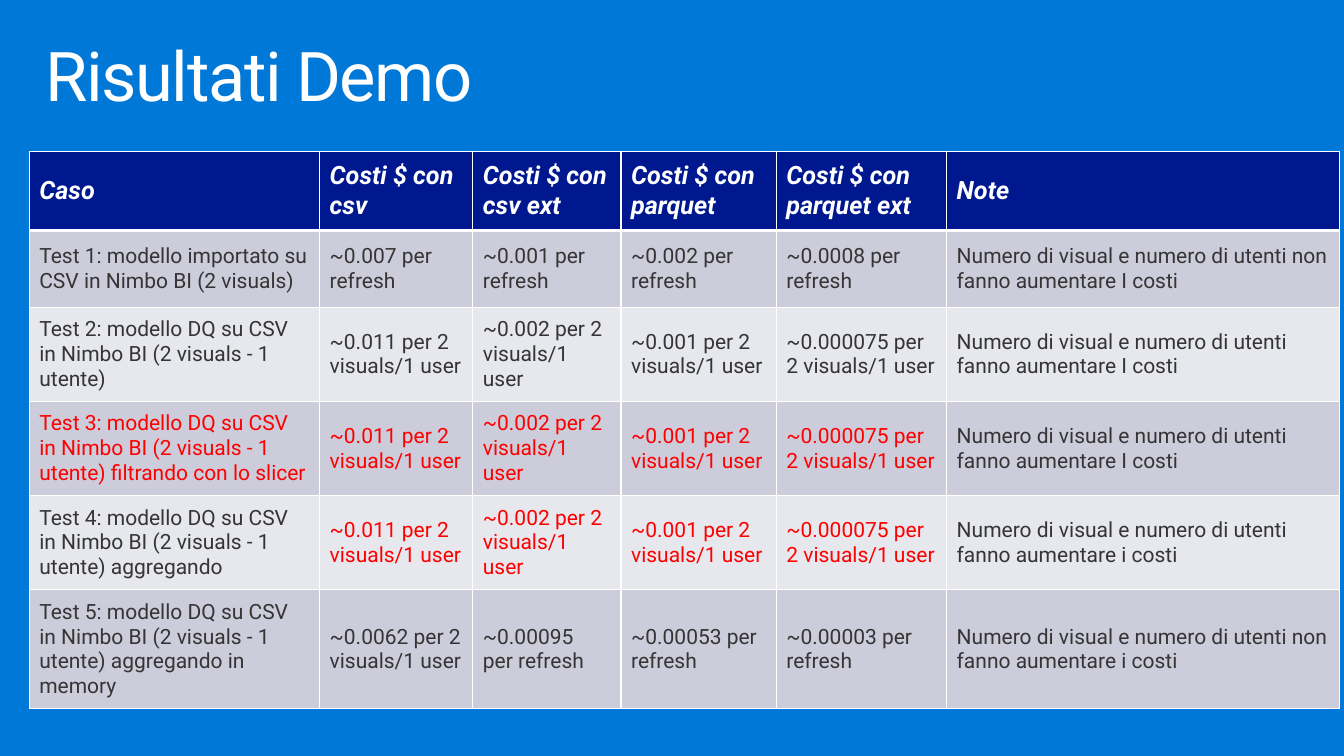
from dataclasses import dataclass

from lxml.etree import SubElement
from pptx import Presentation
from pptx.dml.color import RGBColor
from pptx.enum.text import MSO_ANCHOR as Anchor, MSO_AUTO_SIZE as AutoSize, PP_ALIGN as Align
from pptx.oxml.ns import qn
from pptx.util import Inches, Pt

BLUE = RGBColor(0x00, 0x78, 0xD7)
NAVY = RGBColor(0x00, 0x18, 0x8F)
WHITE = RGBColor(0xFF, 0xFF, 0xFF)
GREY = RGBColor(0x35, 0x35, 0x35)
RED = RGBColor(0xFF, 0x00, 0x00)
BANDS = (RGBColor(0xCC, 0xCC, 0xDB), RGBColor(0xE7, 0xE8, 0xEE))

COLUMN_WIDTHS = (2.88, 1.52, 1.47, 1.54, 1.69, 3.9)
ROW_HEIGHTS = (0.76, 0.76, 0.81, 0.76, 0.76, 0.76)
HEADINGS = (
    "Caso",
    "Costi $ con csv",
    "Costi $ con csv ext",
    "Costi $ con parquet",
    "Costi $ con parquet ext",
    "Note",
)
QUERY_CASE = "modello DQ su CSV in Nimbo BI (2 visuals - 1 utente)"
QUERY_COSTS = tuple(
    f"~{cost} per 2 visuals/1 user" for cost in ("0.011", "0.002", "0.001", "0.000075")
)

TITLE_FONT = {"name": "Roboto", "size": Pt(49), "bold": False}
HEADING_FONT = {"name": "Roboto", "size": Pt(18), "bold": True, "italic": True}
BODY_FONT = {"name": "Roboto", "size": Pt(15), "bold": False, "italic": False}


@dataclass(frozen=True)
class DemoTest:
    case: str
    costs: tuple[str, ...]
    note: str
    red_columns: tuple[int, ...] = ()


TESTS = (
    DemoTest(
        "Test 1: modello importato su CSV in Nimbo BI (2 visuals)",
        ("~0.007 per refresh", "~0.001 per refresh",
         "~0.002 per refresh", "~0.0008 per refresh"),
        "Numero di visual e numero di utenti non fanno aumentare I costi",
    ),
    DemoTest(
        f"Test 2: {QUERY_CASE}",
        QUERY_COSTS,
        "Numero di visual e numero di utenti fanno aumentare I costi",
    ),
    DemoTest(
        f"Test 3: {QUERY_CASE} filtrando con lo slicer",
        QUERY_COSTS,
        "Numero di visual e numero di utenti fanno aumentare I costi",
        (0, 1, 2, 3, 4),
    ),
    DemoTest(
        f"Test 4: {QUERY_CASE} aggregando",
        QUERY_COSTS,
        "Numero di visual e numero di utenti fanno aumentare i costi",
        (1, 2, 3, 4),
    ),
    DemoTest(
        f"Test 5: {QUERY_CASE} aggregando in memory",
        ("~0.0062 per 2 visuals/1 user", "~0.00095\vper refresh",
         "~0.00053 per refresh", "~0.00003 per refresh"),
        "Numero di visual e numero di utenti non fanno aumentare i costi",
    ),
)


def apply_format(target, values: dict) -> None:
    for name, value in values.items():
        setattr(target, name, value)


def style_runs(para, font: dict, color: RGBColor) -> None:
    for span in para.runs:
        apply_format(span.font, font)
        span.font.color.rgb = color


def add_borders(cell, bottom_width: float) -> None:
    properties = cell._tc.get_or_add_tcPr()
    for side, width in (("L", 1), ("R", 1), ("T", 1), ("B", bottom_width)):
        line = SubElement(properties, qn(f"a:ln{side}"), w=str(Pt(width)))
        fill = SubElement(line, qn("a:solidFill"))
        SubElement(fill, qn("a:srgbClr"), val=str(WHITE))


def fill_cell(cell, text: str, font: dict, color: RGBColor,
              background: RGBColor, bottom_width: float = 1) -> None:
    cell.text = text
    margins = ("margin_left", "margin_top", "margin_right", "margin_bottom")
    apply_format(cell, dict.fromkeys(margins, Inches(0.1)))
    cell.vertical_anchor = Anchor.MIDDLE
    add_borders(cell, bottom_width)
    cell.fill.solid()
    cell.fill.fore_color.rgb = background
    style_runs(cell.text_frame.paragraphs[0], font, color)


def add_title(page) -> None:
    box = page.shapes.title
    apply_format(box, {"left": Inches(0.29), "top": Inches(0.32),
                       "width": Inches(12.75), "height": Inches(0.98)})
    frame = box.text_frame
    frame.text = "Risultati Demo"
    apply_format(frame, {
        "margin_left": Inches(0.16), "margin_right": Inches(0.16),
        "margin_top": Inches(0.1), "margin_bottom": Inches(0.1),
        "vertical_anchor": Anchor.TOP, "word_wrap": True, "auto_size": AutoSize.NONE,
    })
    para = frame.paragraphs[0]
    apply_format(para, {"alignment": Align.LEFT, "line_spacing": 0.9})
    style_runs(para, TITLE_FONT, WHITE)
    para.runs[0].font._element.set("spc", "-100")


def add_results(page) -> None:
    table = page.shapes.add_table(
        len(ROW_HEIGHTS), len(COLUMN_WIDTHS),
        Inches(0.29), Inches(1.5), Inches(13), Inches(5.24),
    ).table
    for column, width in zip(table.columns, COLUMN_WIDTHS):
        column.width = Inches(width)
    for row, height in zip(table.rows, ROW_HEIGHTS):
        row.height = Inches(height)
    for index, heading in enumerate(HEADINGS):
        fill_cell(table.cell(0, index), heading, HEADING_FONT, WHITE, NAVY, 3)
    for number, test in enumerate(TESTS):
        for index, text in enumerate((test.case, *test.costs, test.note)):
            color = RED if index in test.red_columns else GREY
            fill_cell(table.cell(number + 1, index), text, BODY_FONT, color,
                      BANDS[number % 2])


def main() -> None:
    deck = Presentation()
    apply_format(deck, {"slide_width": Inches(13.33), "slide_height": Inches(7.5)})
    page = deck.slides.add_slide(deck.slide_layouts[5])
    page.background.fill.solid()
    page.background.fill.fore_color.rgb = BLUE
    add_title(page)
    add_results(page)
    deck.save("out.pptx")


if __name__ == "__main__":
    main()
